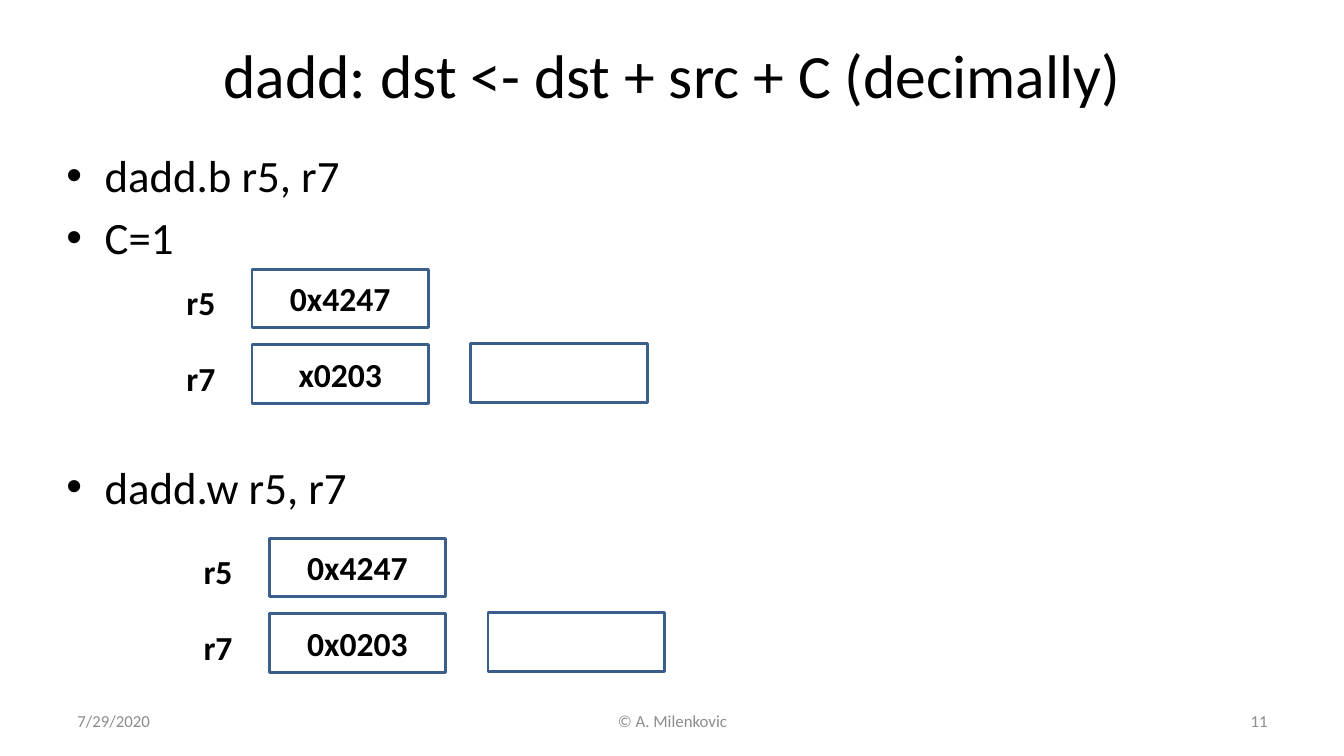
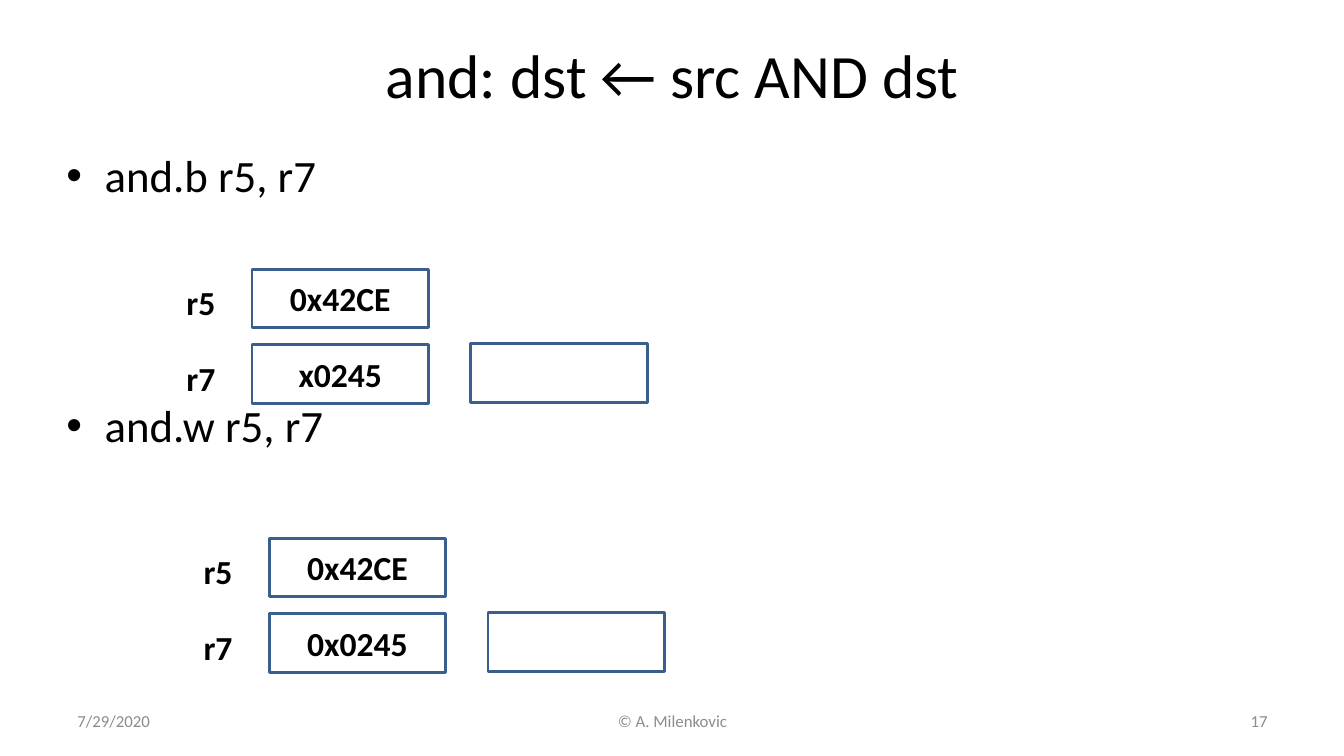
from lxml import etree
from pptx import Presentation
from pptx.dml.color import RGBColor
from pptx.enum.shapes import MSO_SHAPE
from pptx.enum.text import MSO_ANCHOR, PP_ALIGN
from pptx.oxml.ns import qn
from pptx.util import Inches, Pt

RECT = MSO_SHAPE.RECTANGLE
TOP, MIDDLE = MSO_ANCHOR.TOP, MSO_ANCHOR.MIDDLE
LEFT, CENTER, RIGHT = PP_ALIGN.LEFT, PP_ALIGN.CENTER, PP_ALIGN.RIGHT

# Content: each bullet has its text and the number of lines left free above it
SLIDES = [
    {"title": "dadd: dst <- dst + src + C (decimally)",
     "bullets": [("dadd.b r5, r7", 0), ("C=1", 0), ("dadd.w r5, r7", 3)],
     "values": [("0x4247", "x0203"), ("0x4247", "0x0203")],
     "number": "11"},
    {"title": "and: dst ← src AND dst",
     "bullets": [("and.b r5, r7", 0), ("and.w r5, r7", 3)],
     "values": [("0x42CE", "x0245"), ("0x42CE", "0x0245")],
     "number": "17"},
]
DATE, OWNER = "7/29/2020", "© A. Milenkovic"
NAMES = ("r5", "r7")

# Shared style
FONT = "Calibri"
COLORS = {"text": "000000", "foot": "8C8C8C", "line": "3A5F8C"}

# Layout in inches
TITLE = (0.67, 0.3, 12, 0.87)
BODY = (0.56, 1.42, 12, 4.95)
FOOT_Y, FOOT_H = 6.95, 0.4
GROUPS = [(2.5, 2.67), (2.67, 5.34)]
BOX_W, BOX_H, STEP = 1.75, 0.58, 0.75
NAME_W, NAME_H, NAME_DY = 0.75, 0.5, 0.08
OUT_DX, OUT_DY = 2.17, 0.74

# Bullet spacing in points
GAP, PITCH = 5.7, 44.7
INDENT = 0.38


def color(name):
    return RGBColor.from_string(COLORS[name])


def write(par, text, size, tint="text", bold=False, align=LEFT):
    par.alignment = align
    run = par.add_run()
    run.text = text
    font = run.font
    font.name, font.size, font.bold = FONT, Pt(size), bold
    font.color.rgb = color(tint)


def add_text(slide, at, anchor=TOP):
    frame = slide.shapes.add_textbox(*map(Inches, at)).text_frame
    frame.word_wrap = True
    frame.vertical_anchor = anchor
    return frame


def add_title(slide, text):
    title = slide.shapes.title
    title.left, title.top, title.width, title.height = map(Inches, TITLE)
    title.text_frame.vertical_anchor = MIDDLE
    write(title.text_frame.paragraphs[0], text, 44, align=CENTER)


def add_bullets(slide, items):
    frame = add_text(slide, BODY)
    for i, (text, skip) in enumerate(items):
        par = frame.add_paragraph() if i else frame.paragraphs[0]
        write(par, text, 32)
        par.space_before = Pt(GAP + skip * PITCH if i else 0)
        props = par._p.get_or_add_pPr()
        props.set("marL", str(Inches(INDENT)))
        props.set("indent", str(-Inches(INDENT)))
        etree.SubElement(props, qn("a:buFont")).set("typeface", "Arial")
        etree.SubElement(props, qn("a:buChar")).set("char", "•")


def add_box(slide, x, y, text=""):
    box = slide.shapes.add_shape(RECT, *map(Inches, (x, y, BOX_W, BOX_H)))
    box.shadow.inherit = False
    box.fill.background()
    box.line.color.rgb = color("line")
    box.line.width = Pt(2)
    if text:
        box.text_frame.vertical_anchor = MIDDLE
        write(box.text_frame.paragraphs[0], text, 24, bold=True, align=CENTER)


def add_group(slide, x, y, values):
    # Source and target registers, then the empty result box
    for i, (name, value) in enumerate(zip(NAMES, values)):
        top = y + i * STEP
        add_box(slide, x, top, value)
        frame = add_text(slide, (x - NAME_W, top + NAME_DY, NAME_W, NAME_H))
        write(frame.paragraphs[0], name, 24, bold=True)
    add_box(slide, x + OUT_DX, y + OUT_DY)


def add_footer(slide, number):
    parts = [(0.67, 3.11, DATE, LEFT), (4.56, 4.22, OWNER, CENTER),
             (9.56, 3.11, number, RIGHT)]
    for x, width, text, align in parts:
        frame = add_text(slide, (x, FOOT_Y, width, FOOT_H), MIDDLE)
        write(frame.paragraphs[0], text, 12, "foot", align=align)


def main():
    deck = Presentation()
    deck.slide_width, deck.slide_height = Inches(13.33), Inches(7.5)
    for data in SLIDES:
        slide = deck.slides.add_slide(deck.slide_layouts[5])
        add_title(slide, data["title"])
        add_bullets(slide, data["bullets"])
        add_footer(slide, data["number"])
        for (x, y), values in zip(GROUPS, data["values"]):
            add_group(slide, x, y, values)
    deck.save("out.pptx")


if __name__ == "__main__":
    main()
